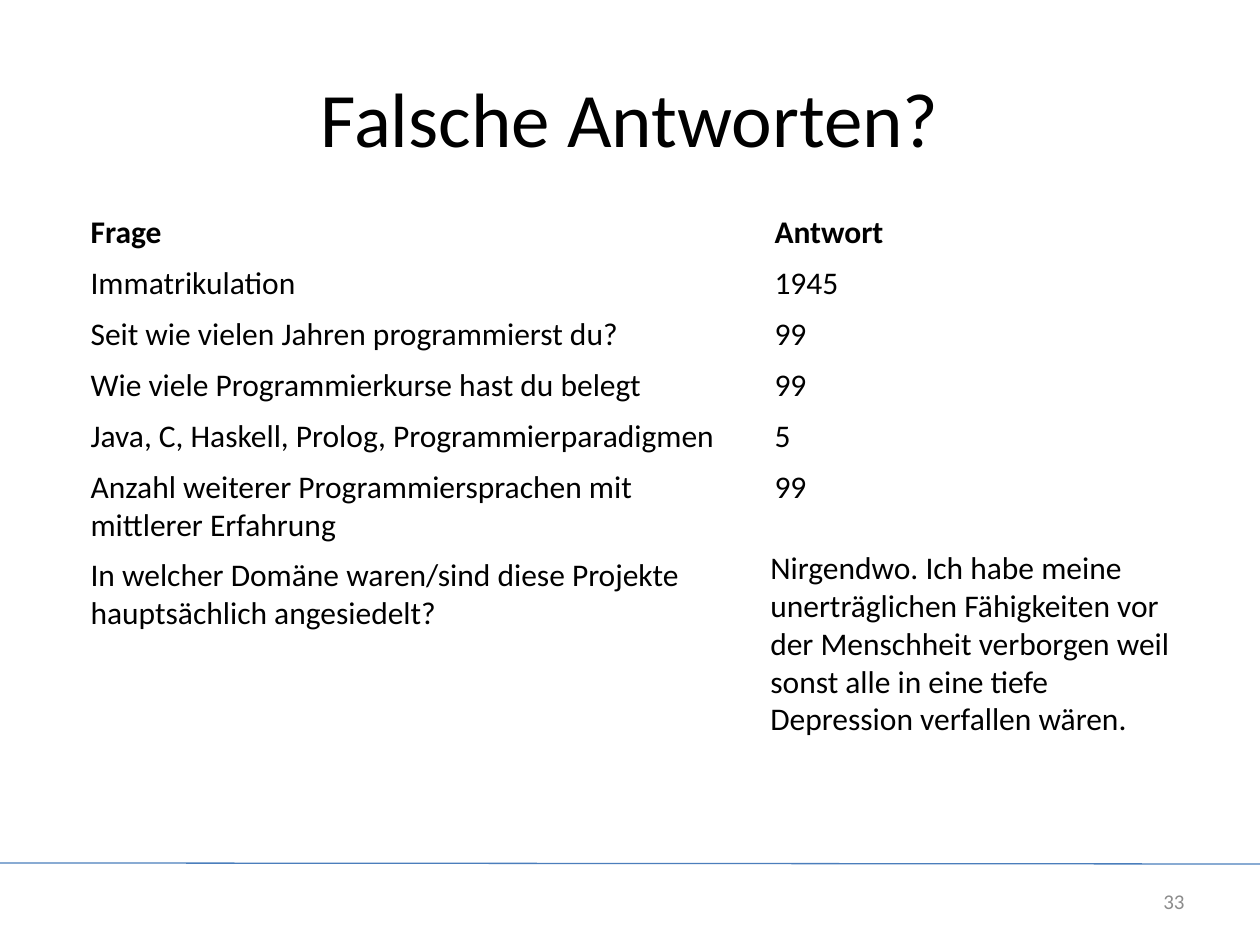
from lxml.etree import SubElement
from pptx import Presentation
from pptx.dml.color import RGBColor
from pptx.enum.shapes import MSO_CONNECTOR
from pptx.enum.text import MSO_ANCHOR, PP_ALIGN
from pptx.oxml.ns import qn
from pptx.util import Emu, Pt

TITLE = "Falsche Antworten?"
PAGE = "33"
ROWS = [
    ("Frage", "Antwort"),
    ("Immatrikulation", "1945"),
    ("Seit wie vielen Jahren programmierst du?", "99"),
    ("Wie viele Programmierkurse hast du belegt", "99"),
    ("Java, C, Haskell, Prolog, Programmierparadigmen", "5"),
    ("Anzahl weiterer Programmiersprachen mit mittlerer Erfahrung", "99"),
    ("In welcher Domäne waren/sind diese Projekte hauptsächlich angesiedelt?", ""),
    ("", ""),
]
LAST_ANSWER = (
    "Nirgendwo. Ich habe meine unerträglichen Fähigkeiten vor der Menschheit "
    "verborgen weil sonst alle in eine tiefe Depression verfallen wären."
)
COL_WIDTHS = (684, 428)
ROW_HEIGHT = 51
FONT = "Calibri"
BLACK = RGBColor(0x00, 0x00, 0x00)
GRAY = RGBColor(0x8C, 0x8C, 0x8C)
BLUE = RGBColor(0x4B, 0x7E, 0xBC)
WHITE = RGBColor(0xFF, 0xFF, 0xFF)


def px(n):
    return Emu(round(n * 914400 / 126))


def style(font, size, color=BLACK, bold=False):
    font.name = FONT
    font.size = Pt(size)
    font.bold = bold
    font.color.rgb = color


def add_text(s, box, text, size, color=BLACK, align=PP_ALIGN.LEFT, anchor=MSO_ANCHOR.TOP):
    tf = s.shapes.add_textbox(*map(px, box)).text_frame
    tf.word_wrap = True
    tf.vertical_anchor = anchor
    tf.text = text
    p = tf.paragraphs[0]
    p.alignment = align
    style(p.runs[0].font, size, color)


def add_borders(cell, bottom):
    tcPr = cell._tc.get_or_add_tcPr()
    for i, (side, width) in enumerate((("lnL", 1), ("lnR", 1), ("lnT", 1), ("lnB", bottom))):
        ln = tcPr.makeelement(qn(f"a:{side}"), {"w": str(Pt(width))})
        fill = SubElement(ln, qn("a:solidFill"))
        SubElement(fill, qn("a:srgbClr"), val=str(WHITE))
        tcPr.insert(i, ln)


def add_answers(s):
    frame = s.shapes.add_table(
        len(ROWS), len(COL_WIDTHS), px(78), px(207),
        px(sum(COL_WIDTHS)), px(ROW_HEIGHT * len(ROWS)),
    )
    table = frame.table
    table.horz_banding = False
    for column, width in zip(table.columns, COL_WIDTHS):
        column.width = px(width)
    for i, row in enumerate(ROWS):
        table.rows[i].height = px(ROW_HEIGHT)
        for j, text in enumerate(row):
            cell = table.cell(i, j)
            cell.fill.background()
            cell.text = text
            style(cell.text_frame.paragraphs[0].font, 18)
            for r in cell.text_frame.paragraphs[0].runs:
                style(r.font, 18, bold=i == 0)
            add_borders(cell, 3 if i == 0 else 1)


def main():
    prs = Presentation()
    prs.slide_width, prs.slide_height = px(1260), px(945)
    s = prs.slides.add_slide(prs.slide_layouts[6])

    line = s.shapes.add_connector(MSO_CONNECTOR.STRAIGHT, px(0), px(863), px(1260), px(864))
    line.line.color.rgb = BLUE
    line.line.width = Pt(0.75)
    SubElement(line._element.spPr, qn("a:effectLst"))

    add_text(s, (63, 38, 1134, 157), TITLE, 44, align=PP_ALIGN.CENTER, anchor=MSO_ANCHOR.MIDDLE)
    add_text(s, (1082, 876, 115, 50), PAGE, 12, GRAY, PP_ALIGN.RIGHT, MSO_ANCHOR.MIDDLE)
    add_answers(s)
    add_text(s, (758, 542, 444, 204), LAST_ANSWER, 18)
    prs.save("out.pptx")


if __name__ == "__main__":
    main()
